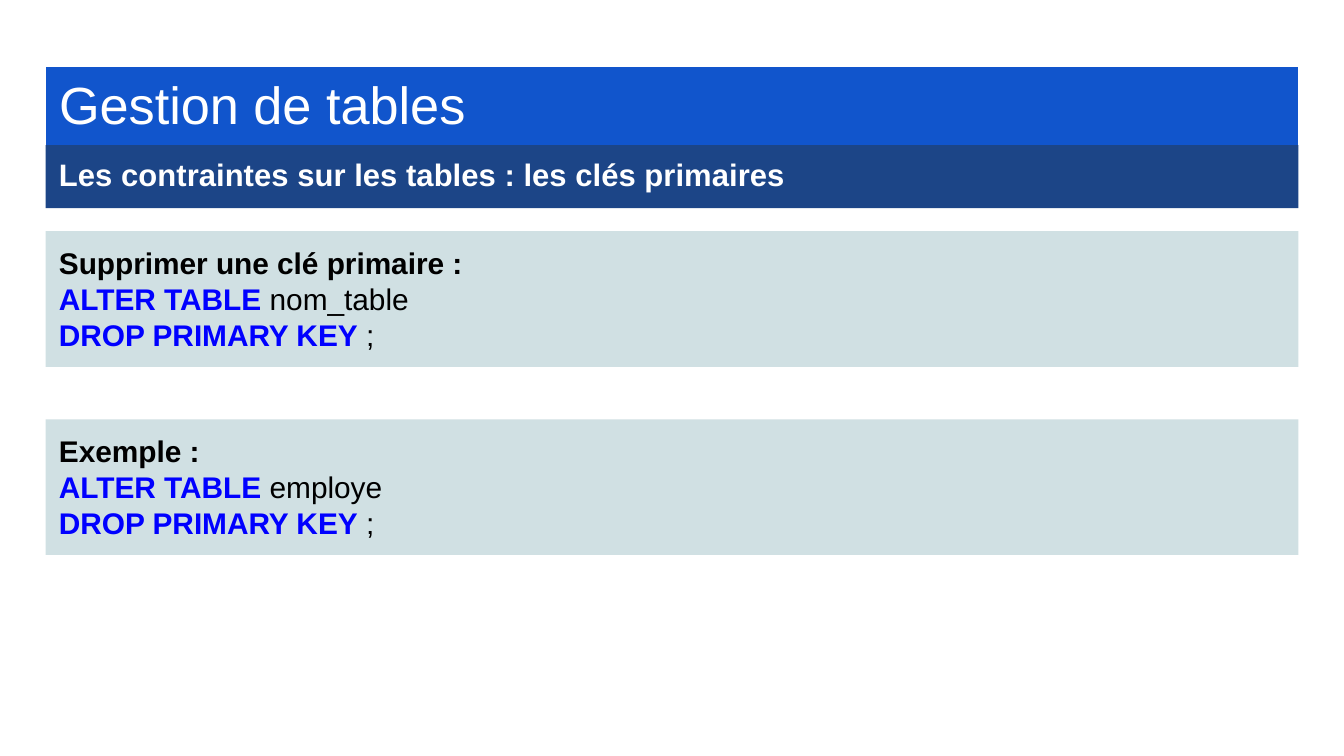
from pptx import Presentation
from pptx.dml.color import RGBColor
from pptx.enum.shapes import MSO_SHAPE
from pptx.enum.text import MSO_ANCHOR, MSO_AUTO_SIZE, PP_ALIGN
from pptx.util import Inches, Pt

RECTANGLE = MSO_SHAPE.RECTANGLE
TOP = MSO_ANCHOR.TOP
NO_FIT, GROW = MSO_AUTO_SIZE.NONE, MSO_AUTO_SIZE.SHAPE_TO_FIT_TEXT
LEFT = PP_ALIGN.LEFT

WHITE = RGBColor(0xFF, 0xFF, 0xFF)
BLACK = RGBColor(0x00, 0x00, 0x00)
TITLE_BLUE = RGBColor(0x11, 0x55, 0xCC)
SUBTITLE_BLUE = RGBColor(0x1C, 0x45, 0x87)
PANEL_GRAY = RGBColor(0xD0, 0xE0, 0xE3)
KEYWORD_BLUE = RGBColor(0x00, 0x00, 0xFF)


def style_box(box, top, height, fill, auto_size=NO_FIT):
    box.left, box.top = Inches(0.34), Inches(top)
    box.width, box.height = Inches(9.32), Inches(height)
    box.fill.solid()
    box.fill.fore_color.rgb = fill
    frame_format = {"word_wrap": True, "auto_size": auto_size, "vertical_anchor": TOP}
    for side in ("left", "top", "right", "bottom"):
        frame_format[f"margin_{side}"] = Inches(0.1)
    for name, value in frame_format.items():
        setattr(box.text_frame, name, value)


def write_line(para, spans, size, **para_format):
    para_format = {"alignment": LEFT, "space_before": Pt(0), **para_format}
    for name, value in para_format.items():
        setattr(para, name, value)
    for text, color, bold in spans:
        span = para.add_run()
        span.text = text
        font_format = {"name": "Arial", "size": Pt(size), "bold": bold}
        for name, value in font_format.items():
            setattr(span.font, name, value)
        span.font.color.rgb = color


# Widescreen 16:9 page
deck = Presentation()
deck.slide_width = Inches(10)
deck.slide_height = Inches(10 * 9 / 16)
page = deck.slides.add_slide(deck.slide_layouts[5])

# Title band
title = page.shapes.title
style_box(title, 0.49, 0.63, TITLE_BLUE)
title.line.color.rgb = WHITE
title.line.width = Pt(0.75)
write_line(title.text_frame.paragraphs[0], [("Gestion de tables", WHITE, False)],
           28, line_spacing=0.9)

# Subtitle band
subtitle = page.shapes.add_textbox(0, 0, 0, 0)
style_box(subtitle, 1.08, 0.47, SUBTITLE_BLUE)
write_line(subtitle.text_frame.paragraphs[0],
           [("Les contraintes sur les tables : les clés primaires", WHITE, True)],
           16.65, line_spacing=0.95, space_after=Pt(12))

# Syntax and example panels
panels = [
    (1.72, "Supprimer une clé primaire :", "nom_table"),
    (3.12, "Exemple :", "employe"),
]
for top, heading, table_name in panels:
    panel = page.shapes.add_shape(RECTANGLE, 0, 0, 0, 0)
    panel.shadow.inherit = False
    panel.line.fill.background()
    style_box(panel, top, 1.01, PANEL_GRAY, GROW)
    lines = [
        [(heading, BLACK, True)],
        [("ALTER TABLE ", KEYWORD_BLUE, True), (table_name, BLACK, False)],
        [("DROP PRIMARY KEY", KEYWORD_BLUE, True), (" ;", BLACK, False)],
    ]
    frame = panel.text_frame
    for number, spans in enumerate(lines):
        para = frame.add_paragraph() if number else frame.paragraphs[0]
        write_line(para, spans, 16)

deck.save("out.pptx")
